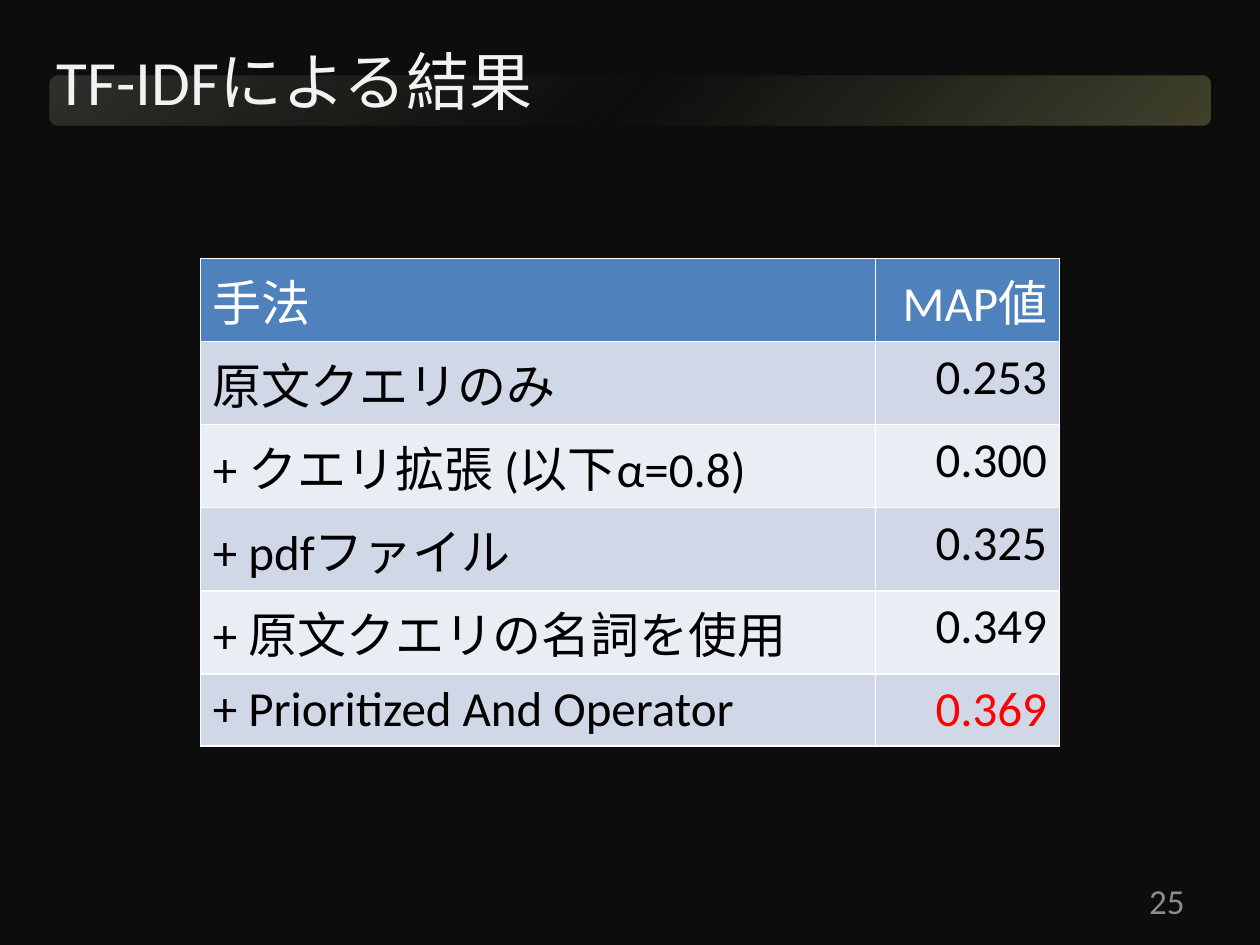
"""Build the slide that lists the MAP values of the TF-IDF methods."""
import pptx
import pptx.dml.color
import pptx.enum.shapes
import pptx.enum.text
import pptx.oxml
import pptx.oxml.ns
import pptx.util

Inches, Pt = pptx.util.Inches, pptx.util.Pt
ALIGN = pptx.enum.text.PP_ALIGN
MIDDLE = pptx.enum.text.MSO_ANCHOR.MIDDLE

TITLE = "TF-IDFによる結果"
NUMBER = "25"
ROWS = [
    ("手法", "MAP値"),
    ("原文クエリのみ", "0.253"),
    ("+ クエリ拡張 (以下α=0.8)", "0.300"),
    ("+ pdfファイル", "0.325"),
    ("+ 原文クエリの名詞を使用", "0.349"),
    ("+ Prioritized And Operator", "0.369"),
]
WIDTHS = (5.36, 1.46)
HEIGHTS = [0.66] * (len(ROWS) - 1) + [0.57]
THEME = {
    "font": "Calibri",
    "back": "0D0D0D",
    "title": {"size": 36, "color": "F2F2F2"},
    "number": {"size": 20, "color": "8C8C8C"},
    "head": {"size": 28, "color": "FFFFFF"},
    "body": {"size": 28, "color": "000000"},
    "best": {"size": 28, "color": "FF0000"},
    "header": "4F81BD",
    "bands": ("D0D8E8", "E9EDF4"),
    "border": "FFFFFF",
    "stops": ((0, "FFFFA0", 22), (50, "FFFFC5", 0), (100, "FFFFE3", 14)),
}


def rgb(code):
    return pptx.dml.color.RGBColor.from_string(code)


def make(xml):
    return pptx.oxml.parse_xml(xml.replace(" ", f" {pptx.oxml.ns.nsdecls('a')} ", 1))


def paint(fill, code):
    fill.solid()
    fill.fore_color.rgb = rgb(code)


def write(frame, text, style, align=ALIGN.LEFT):
    frame.text = text
    para = frame.paragraphs[0]
    para.alignment = align
    font = para.runs[0].font
    form = {"name": THEME["font"], "size": Pt(style["size"]), "bold": False}
    for name, value in form.items():
        setattr(font, name, value)
    font.color.rgb = rgb(style["color"])


def place(shape, *box):
    for name, value in zip(("left", "top", "width", "height"), box):
        setattr(shape, name, Inches(value))


def add_bar(slide, title):
    kind = pptx.enum.shapes.MSO_SHAPE.ROUNDED_RECTANGLE
    bar = slide.shapes.add_shape(kind, *map(Inches, (0.39, 0.6, 9.22, 0.4)))
    title.element.addprevious(bar.element)
    bar.line.fill.background()
    bar.fill.gradient()
    bar.fill.gradient_angle = 135
    stops = bar.element.spPr.find(".//" + pptx.oxml.ns.qn("a:gsLst"))
    stops.clear()
    for pos, code, alpha in THEME["stops"]:
        stops.append(make(
            f'<a:gs pos="{pos * 1000}"><a:srgbClr val="{code}">'
            f'<a:alpha val="{alpha * 1000}"/></a:srgbClr></a:gs>'))
    bar.shadow.inherit = False
    bar.element.spPr.find(pptx.oxml.ns.qn("a:effectLst")).append(make(
        f'<a:outerShdw blurRad="{Pt(3.1)}" dist="{Pt(1.6)}" dir="5400000">'
        '<a:srgbClr val="000000"><a:alpha val="38000"/></a:srgbClr></a:outerShdw>'))


def edge(cell):
    props = cell._tc.get_or_add_tcPr()
    for side in "LRTB":
        props.append(make(
            f'<a:ln{side} w="{Pt(1)}"><a:solidFill>'
            f'<a:srgbClr val="{THEME["border"]}"/></a:solidFill></a:ln{side}>'))


def add_grid(slide):
    box = map(Inches, (1.59, 2.05, sum(WIDTHS), sum(HEIGHTS)))
    grid = slide.shapes.add_table(len(ROWS), len(WIDTHS), *box).table
    for col, width in zip(grid.columns, WIDTHS):
        col.width = Inches(width)
    for i, row in enumerate(ROWS):
        grid.rows[i].height = Inches(HEIGHTS[i])
        for j, text in enumerate(row):
            cell = grid.cell(i, j)
            best = i == len(ROWS) - 1 and j == 1
            style = "head" if i == 0 else "best" if best else "body"
            align = ALIGN.RIGHT if j else ALIGN.LEFT
            write(cell.text_frame, text, THEME[style], align)
            edge(cell)
            paint(cell.fill, THEME["bands"][(i - 1) % 2] if i else THEME["header"])


def main():
    deck = pptx.Presentation()
    deck.slide_width, deck.slide_height = Inches(10), Inches(7.5)
    slide = deck.slides.add_slide(deck.slide_layouts[5])
    paint(slide.background.fill, THEME["back"])
    title = slide.shapes.title
    place(title, 0.35, 0.21, 9.13, 0.85)
    add_bar(slide, title)
    number = slide.shapes.add_textbox(*map(Inches, (8.78, 6.95, 0.72, 0.4)))
    for shape, text, style, align in (
        (title, TITLE, "title", ALIGN.LEFT),
        (number, NUMBER, "number", ALIGN.RIGHT),
    ):
        frame = shape.text_frame
        frame.word_wrap = True
        frame.vertical_anchor = MIDDLE
        write(frame, text, THEME[style], align)
    add_grid(slide)
    deck.save("out.pptx")


if __name__ == "__main__":
    main()
